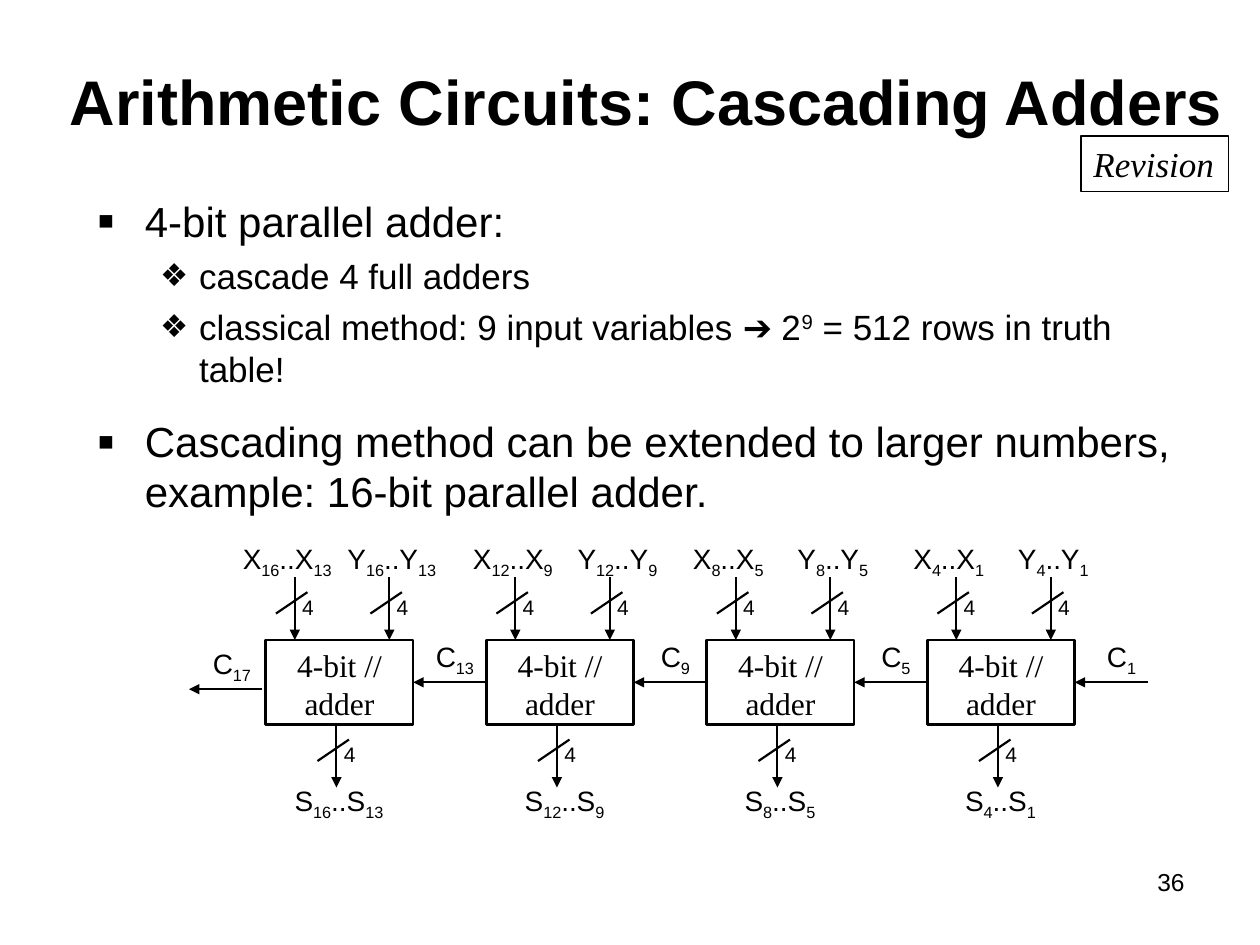
from dataclasses import dataclass

from lxml.etree import SubElement
from pptx import Presentation
from pptx.dml.color import RGBColor
from pptx.enum.shapes import MSO_CONNECTOR, MSO_SHAPE
from pptx.enum.text import MSO_ANCHOR, MSO_AUTO_SIZE, PP_ALIGN
from pptx.oxml.ns import qn
from pptx.util import Inches, Pt


@dataclass(frozen=True)
class Theme:
    ink: RGBColor = RGBColor(0, 0, 0)
    sans: str = "Arial"
    serif: str = "Times New Roman"
    title: int = 36
    body: int = 24
    detail: int = 20
    adder: int = 18
    signal: int = 16
    number: int = 14
    bus: int = 12


theme = Theme()
SUPERSCRIPT, SUBSCRIPT = 30, -25


def write(paragraph, parts, size, font=theme.sans, bold=False, italic=False, alignment=None):
    """Fill a paragraph from (text, baseline shift in percent) parts."""
    paragraph.alignment = alignment
    for text, baseline in parts:
        run = paragraph.add_run()
        run.text = text
        run.font.name = font
        run.font.size = Pt(size)
        run.font.bold = bold
        run.font.italic = italic
        run.font.color.rgb = theme.ink
        if baseline:
            run._r.get_or_add_rPr().set("baseline", str(baseline * 1000))


def add_line(start_x, start_y, end_x, end_y, arrow=True):
    line = slide.shapes.add_connector(
        MSO_CONNECTOR.STRAIGHT, Inches(start_x), Inches(start_y), Inches(end_x), Inches(end_y))
    line.line.color.rgb = theme.ink
    line.line.width = Pt(1.25)
    if arrow:
        SubElement(line.line._get_or_add_ln(), qn("a:tailEnd"), type="triangle")
    SubElement(line._element.spPr, qn("a:effectLst"))
    return line


presentation = Presentation()
presentation.slide_width = Inches(10)
presentation.slide_height = Inches(7.5)
slide = presentation.slides.add_slide(presentation.slide_layouts[1])

# Title and bullet list
title, body = slide.placeholders
title.left, title.top, title.width, title.height = map(Inches, (0.42, 0.17, 9.42, 1.25))
title.text_frame.auto_size = MSO_AUTO_SIZE.NONE
title.text_frame.vertical_anchor = MSO_ANCHOR.MIDDLE
write(title.text_frame.paragraphs[0], [("Arithmetic Circuits: Cascading Adders", 0)],
      theme.title, bold=True, alignment=PP_ALIGN.CENTER)

body.left, body.top, body.width, body.height = map(Inches, (0.67, 1.5, 8.83, 2.67))
body.text_frame.auto_size = MSO_AUTO_SIZE.NONE
levels = [  # left margin, hanging indent, bullet, bullet size in percent, type size
    (0.38, -0.38, "▪", 120, theme.body),
    (0.81, -0.31, "❖", 90, theme.detail),
]
bullets = [  # level, space before, parts
    (0, 0, [("4-bit parallel adder:", 0)]),
    (1, 5, [("cascade 4 full adders", 0)]),
    (1, 5, [("classical method: 9 input variables ➔ 2", 0), ("9", SUPERSCRIPT),
            (" = 512 rows in truth table!", 0)]),
    (0, 15, [("Cascading method can be extended to larger numbers, "
              "example: 16-bit parallel adder.", 0)]),
]
for index, (level, space_before, parts) in enumerate(bullets):
    frame = body.text_frame
    paragraph = frame.add_paragraph() if index else frame.paragraphs[0]
    margin, indent, character, percent, size = levels[level]
    paragraph.level = level
    properties = paragraph._p.get_or_add_pPr()
    properties.set("marL", str(Inches(margin)))
    properties.set("indent", str(Inches(indent)))
    color = SubElement(properties, qn("a:buClr"))
    SubElement(color, qn("a:srgbClr"), val=str(theme.ink))
    SubElement(properties, qn("a:buSzPct"), val=str(percent * 1000))
    SubElement(properties, qn("a:buChar"), char=character)
    paragraph.space_before = Pt(space_before)
    write(paragraph, parts, size)

# Boxes: the revision mark, then the adders from the lowest bits to the highest
ADDER_TOP, ADDER_WIDTH, ADDER_HEIGHT, ADDER_STEP = 5.08, 1.17, 0.67, 1.75
adder_lefts = [7.36 - ADDER_STEP * index for index in range(4)]
boxes = [(8.58, 1.08, 0.44, 0.75, "Revision", theme.detail, True, PP_ALIGN.LEFT)]
boxes += [(left, ADDER_TOP, ADDER_HEIGHT, 1.5, "4-bit // adder", theme.adder, False,
           PP_ALIGN.CENTER) for left in adder_lefts]
rectangles = []
for left, top, height, outline, text, size, italic, alignment in boxes:
    rectangle = slide.shapes.add_shape(
        MSO_SHAPE.RECTANGLE, Inches(left), Inches(top), Inches(ADDER_WIDTH), Inches(height))
    rectangle.shadow.inherit = False
    rectangle.fill.background()
    rectangle.line.color.rgb = theme.ink
    rectangle.line.width = Pt(outline)
    rectangle.text_frame.word_wrap = True
    rectangle.text_frame.vertical_anchor = MSO_ANCHOR.TOP
    write(rectangle.text_frame.paragraphs[0], [(text, 0)], size, theme.serif,
          italic=italic, alignment=alignment)
    rectangles.append(rectangle)
adders = rectangles[1:]

# Signals; labels hold left, top, width, height, parts, type size
labels = []
stages = [(4, 1, 0.83, 0), (8, 5, 0.83, 0), (12, 9, 0.92, 0.04), (16, 13, 1, 0)]
for index, (high, low, label_width, nudge) in enumerate(stages):
    left = adder_lefts[index]
    buses = [  # name, arrow x, arrow top, label centre, label top
        ("X", left + 0.23, 4.58, left + 0.17, 4.25),
        ("Y", left + 0.98, 4.58, left + 1, 4.25),
        ("S", left + 0.56, ADDER_TOP + ADDER_HEIGHT, left + 0.58, 6.17),
    ]
    for name, x, top, center, label_top in buses:
        add_line(x, top, x, top + 0.5)
        add_line(x + 0.1, top + 0.12, x - 0.15, top + 0.29, arrow=False)
        labels.append((x - 0.06, top + 0.09, 0.33, 0.3, [("4", 0)], theme.bus))
        parts = [(name, 0), (str(high), SUBSCRIPT), (f"..{name}", 0), (str(low), SUBSCRIPT)]
        labels.append((center + nudge - label_width / 2, label_top, label_width, 0.41,
                       parts, theme.signal))

    right, middle = left + ADDER_WIDTH, ADDER_TOP + ADDER_HEIGHT / 2
    carry = add_line(right + 0.58, middle, right, middle)
    if index:
        carry.begin_connect(adders[index - 1], 1)
    carry.end_connect(adders[index], 3)
    labels.append((right + (0.04 if index else 0.08), 5.03, 0.58, 0.41,
                   [("C", 0), (str(low), SUBSCRIPT)], theme.signal))

add_line(2.08, 5.47, 1.5, 5.47)
labels.append((1.55, 5.08, 0.58, 0.41, [("C", 0), ("17", SUBSCRIPT)], theme.signal))
labels.append((7.17, 6.83, 2.33, 0.52, [("36", 0)], theme.number))

for left, top, width, height, parts, size in labels:
    label = slide.shapes.add_textbox(Inches(left), Inches(top), Inches(width), Inches(height))
    label.text_frame.word_wrap = True
    alignment = PP_ALIGN.RIGHT if size == theme.number else PP_ALIGN.CENTER
    write(label.text_frame.paragraphs[0], parts, size, alignment=alignment)

presentation.save("out.pptx")
